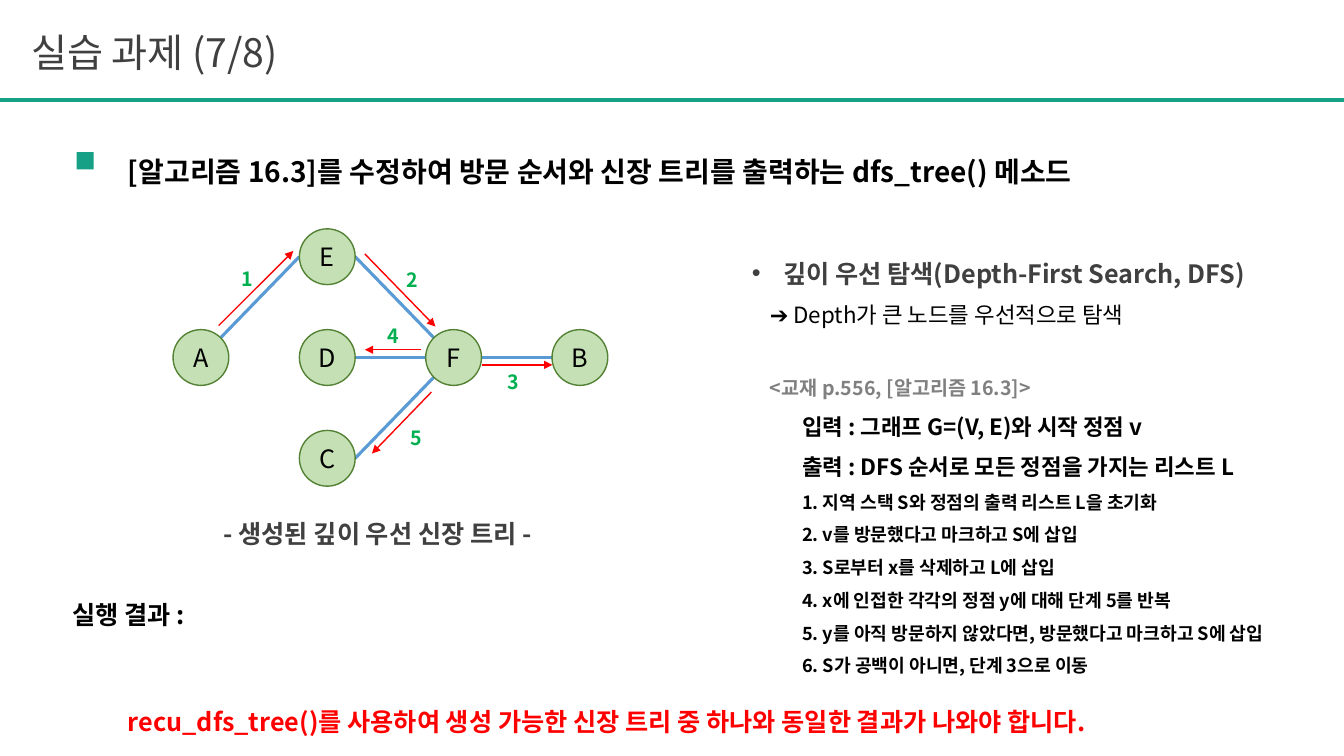
import pptx
import pptx.util
import pptx.dml.color
import pptx.enum.shapes
import pptx.enum.text
import pptx.oxml.ns
from lxml import etree

RGB = pptx.dml.color.RGBColor
TEAL = RGB(0x16, 0xA0, 0x85)
BLACK = RGB(0, 0, 0)
DARK = RGB(0x40, 0x40, 0x40)
GRAY = RGB(0x80, 0x80, 0x80)
RED = RGB(0xFF, 0, 0)
GREEN = RGB(0, 0xB0, 0x50)
BLUE = RGB(0x5B, 0x9B, 0xD5)
PALE = RGB(0xC5, 0xE0, 0xB4)
MOSS = RGB(0x54, 0x82, 0x35)

FONT = "Noto Sans CJK KR"
COLS, ROWS = 40, 22.5
UNIT = pptx.util.Inches(13.333) / COLS
ALIGN = pptx.enum.text.PP_ALIGN
KIND = pptx.enum.shapes.MSO_SHAPE
DIAM = 1.66
DIAG = 0.71

NODES = {"A": (0, 1), "C": (1, 2), "B": (3, 1), "D": (1, 1), "E": (1, 0), "F": (2, 1)}
# each end: node and direction from its centre to its rim
EDGES = [
    (("A", DIAG, -DIAG), ("E", -1, 0)),
    (("F", -DIAG, -DIAG), ("E", 1, 0)),
    (("D", 1, 0), ("F", -1, 0)),
    (("C", 1, 0), ("F", -DIAG, DIAG)),
    (("F", 1, 0), ("B", -1, 0)),
]
# each step: arrow start, arrow end, label corner
STEPS = [
    ((6.51, 9.69), (8.73, 7.47), (6.9, 7.8)),
    ((10.86, 7.56), (12.96, 9.72), (11.79, 7.83)),
    ((14.34, 10.86), (16.44, 10.86), (14.82, 10.86)),
    ((12.54, 10.41), (10.86, 10.41), (11.25, 9.48)),
    ((12.84, 11.67), (11.07, 13.5), (11.91, 12.54)),
]
INPUTS = ["입력 : 그래프 G=(V, E)와 시작 정점 v", "출력 : DFS 순서로 모든 정점을 가지는 리스트 L"]
RULES = [
    "1. 지역 스택 S와 정점의 출력 리스트 L을 초기화",
    "2. v를 방문했다고 마크하고 S에 삽입",
    "3. S로부터 x를 삭제하고 L에 삽입",
    "4. x에 인접한 각각의 정점 y에 대해 단계 5를 반복",
    "5. y를 아직 방문하지 않았다면, 방문했다고 마크하고 S에 삽입",
    "6. S가 공백이 아니면, 단계 3으로 이동",
]


def grid(*vals):
    return [round(v * UNIT) for v in vals]


def write(para, text, size, color, bold=False, **form):
    for name, val in form.items():
        setattr(para, name, val)
    run = para.add_run()
    run.text = text
    look = {"size": pptx.util.Pt(size), "bold": bold, "name": FONT}
    for name, val in look.items():
        setattr(run.font, name, val)
    run.font.color.rgb = color
    east = etree.SubElement(run.font._element, pptx.oxml.ns.qn("a:ea"))
    east.set("typeface", FONT)


def indent(para, left, first=0, mark=None):
    props = para._p.get_or_add_pPr()
    props.set("marL", str(grid(left)[0]))
    props.set("indent", str(grid(first)[0]))
    if mark:
        for tag, key, val in (("buFont", "typeface", "Arial"), ("buChar", "char", mark)):
            etree.SubElement(props, pptx.oxml.ns.qn("a:" + tag)).set(key, val)


def frame(slide, area, wrap=True):
    text = slide.shapes.add_textbox(*grid(*area)).text_frame
    text.word_wrap = wrap
    text.auto_size = pptx.enum.text.MSO_AUTO_SIZE.SHAPE_TO_FIT_TEXT
    return text


def label(slide, area, text, size, color, bold=True, wrap=True, **form):
    write(frame(slide, area, wrap).paragraphs[0], text, size, color, bold, **form)


def shape(slide, kind, area, fill, edge=None):
    item = slide.shapes.add_shape(kind, *grid(*area))
    item.shadow.inherit = False
    item.fill.solid()
    item.fill.fore_color.rgb = fill
    if edge is None:
        item.line.fill.background()
    else:
        item.line.color.rgb = edge
        item.line.width = pptx.util.Pt(1)
    return item


def line(slide, start, end, color, width, arrow=False):
    kind = pptx.enum.shapes.MSO_CONNECTOR.STRAIGHT
    item = slide.shapes.add_connector(kind, *grid(*start, *end))
    item.line.color.rgb = color
    item.line.width = pptx.util.Pt(width)
    if arrow:
        tail = etree.SubElement(item.line._get_or_add_ln(), pptx.oxml.ns.qn("a:tailEnd"))
        tail.set("type", "triangle")
    etree.SubElement(item._element.spPr, pptx.oxml.ns.qn("a:effectLst"))


def centre(name):
    col, row = NODES[name]
    return 5.98 + 3.76 * col, 7.64 + 3 * row


def rim(name, dx, dy):
    x, y = centre(name)
    return x + dx * DIAM / 2, y + dy * DIAM / 2


def node(slide, name):
    x, y = rim(name, -1, -1)
    item = shape(slide, KIND.OVAL, (x, y, DIAM, DIAM), PALE, MOSS)
    item.text_frame.vertical_anchor = pptx.enum.text.MSO_ANCHOR.MIDDLE
    write(item.text_frame.paragraphs[0], name, 18, BLACK, alignment=ALIGN.CENTER)


def tree(slide):
    for start, end in EDGES:
        line(slide, rim(*start), rim(*end), BLUE, 2.25)
    for name in NODES:
        node(slide, name)
    for num, (start, end, spot) in enumerate(STEPS, 1):
        line(slide, start, end, RED, 1, arrow=True)
        label(slide, (*spot, 0.9, 0.96), str(num), 14, GREEN, wrap=False)


def notes(slide):
    """Search method and its pseudocode, right of the tree."""
    text = frame(slide, (22.08, 6.63, 17.55, 13.92))
    para = text.paragraphs[0]
    indent(para, 0.94, -0.94, "•")
    write(para, "깊이 우선 탐색(Depth-First Search, DFS)", 18, DARK, True, line_spacing=2.0)
    para = text.add_paragraph()
    indent(para, 0.54)
    write(para, "➔ Depth가 큰 노드를 우선적으로 탐색", 16, BLACK, line_spacing=1.5)
    para = text.add_paragraph()
    indent(para, 0.54)
    write(para, "<교재 p.556, [알고리즘 16.3]>", 14, GRAY, True,
          line_spacing=2.0, space_before=pptx.util.Pt(17))
    for size, rows in ((16, INPUTS), (13, RULES)):
        for row in rows:
            para = text.add_paragraph()
            indent(para, 1.5)
            write(para, row, size, BLACK, True, level=1, line_spacing=1.5)


def main():
    deck = pptx.Presentation()
    deck.slide_width, deck.slide_height = grid(COLS, ROWS)
    slide = deck.slides.add_slide(deck.slide_layouts[6])
    line(slide, (0, 2.97), (COLS, 2.97), TEAL, 3)
    label(slide, (0.63, 0.69, 30.45, 1.71), "실습 과제 (7/8)", 28, DARK, bold=False)
    label(slide, (3.51, 3.45, 35.7, 2.31),
          "[알고리즘 16.3]를 수정하여 방문 순서와 신장 트리를 출력하는 dfs_tree() 메소드",
          20, BLACK, alignment=ALIGN.JUSTIFY, line_spacing=2.0)
    shape(slide, KIND.RECTANGLE, (2.28, 4.53, 0.51, 0.51), TEAL)
    notes(slide)
    tree(slide)
    label(slide, (-0.39, 15.27, 23.25, 1.2), "- 생성된 깊이 우선 신장 트리 -", 18, DARK,
          alignment=ALIGN.CENTER)
    label(slide, (1.86, 17.7, 4.35, 1.2), "실행 결과 :", 18, BLACK, wrap=False)
    label(slide, (3.51, 20.88, 31.74, 1.2),
          "recu_dfs_tree()를 사용하여 생성 가능한 신장 트리 중 하나와 동일한 결과가 나와야 합니다.",
          18, RED, wrap=False)
    deck.save("out.pptx")


if __name__ == "__main__":
    main()
